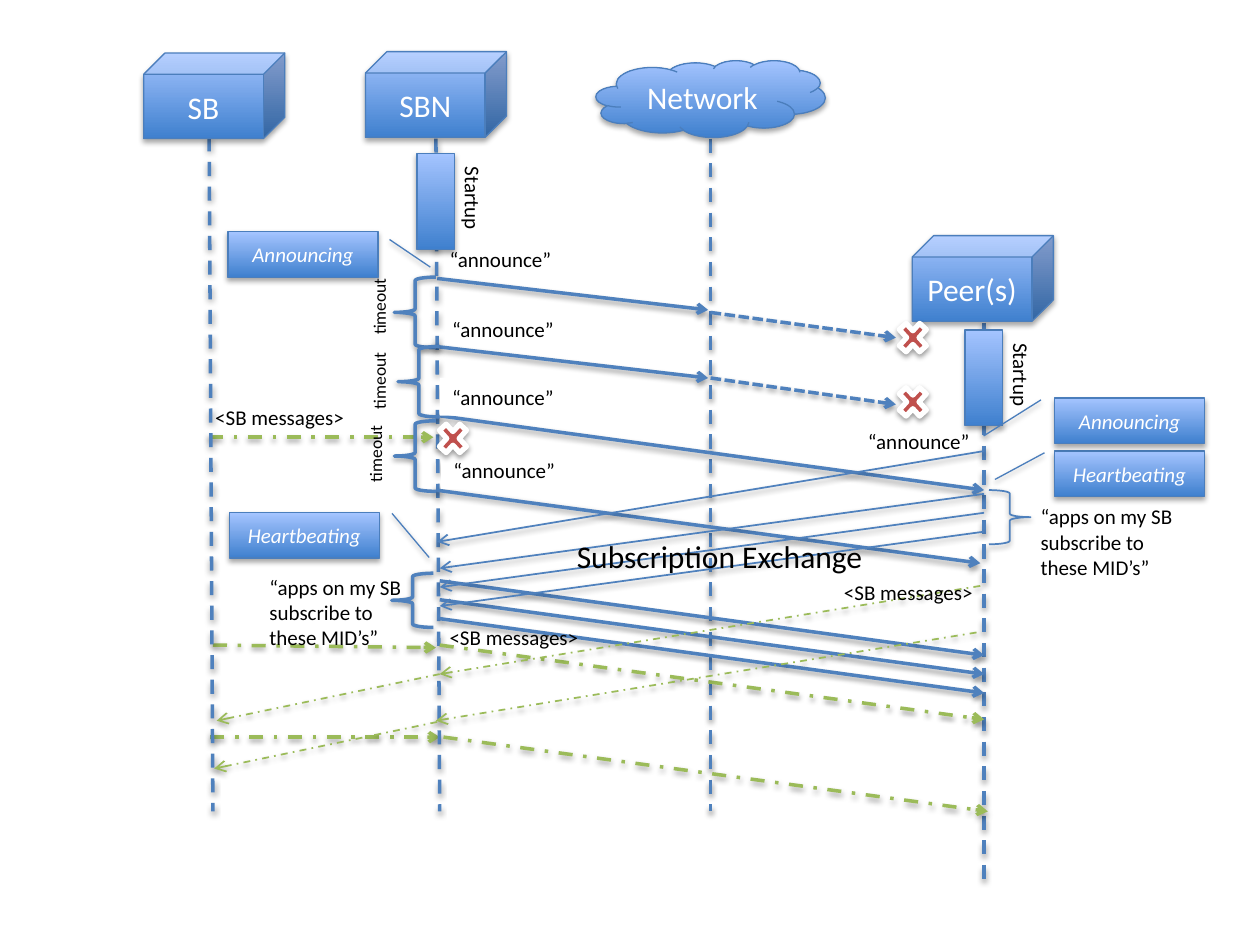
from pptx import Presentation
from pptx.dml.color import RGBColor
from pptx.enum.dml import MSO_LINE as DASH
from pptx.enum.shapes import MSO_CONNECTOR, MSO_SHAPE as SHAPE
from pptx.enum.text import MSO_ANCHOR, MSO_AUTO_SIZE, PP_ALIGN
from pptx.oxml import parse_xml
from pptx.oxml.ns import nsdecls, qn
from pptx.util import Inches, Pt

THEME = dict(font="Calibri", blue="4F81BD", edge="4B7EBC", green="9BBB59", red="C0504D",
             dark="3F80CE", light="A4C4FF", white="FFFFFF", black="000000",
             head=18, label=12, small=10, thick=2, thin=1, outline=0.75, cross=3)

# Lifeline columns
SB, SBN, NETWORK, PEER = 1.69, 3.49, 5.64, 7.81
END = 6.44
LIFELINES = [(1.66, 1.09, SB, END), (3.46, 1.1, SBN, END),
             (NETWORK, 1.1, NETWORK, END), (PEER, 2.56, PEER, 7.01)]

# Participants: text, shape, left, top, width, height
NODES = [("SB", SHAPE.CUBE, 1.14, 0.42, 1.12, 0.68),
         ("SBN", SHAPE.CUBE, 2.9, 0.41, 1.12, 0.68),
         ("Network", SHAPE.CLOUD, 4.73, 0.48, 1.82, 0.61),
         ("Peer(s)", SHAPE.CUBE, 7.24, 1.87, 1.12, 0.68)]
STARTUPS = [(3.31, 1.22), (7.66, 2.62)]

# States: text, left, top, callout line (y1, x1, y2, x2)
STATES = [("Announcing", 1.81, 1.84, (0.17, 1.077, 0.779, 1.349)),
          ("Heartbeating", 1.82, 4.07, (0.014, 1.085, 0.987, 1.333)),
          ("Heartbeating", 8.37, 3.58, (0.04, -0.068, 0.628, -0.398)),
          ("Announcing", 8.37, 3.16, (0.04, -0.091, 0.835, -0.474))]

# Messages: x1, y1, x2, y2
SB_TO_SBN = [(1.66, 3.47, 3.44, 3.47), (SB, 5.12, 3.46, 5.14), (1.67, 5.85, SBN, 5.85)]
ANNOUNCES = [(3.47, 2.21, 5.62, 2.46), (3.46, 2.75, 5.62, 3),
             (SBN, 3.3, PEER, 3.89), (3.46, 3.89, 7.78, 4.47)]
LOST = [(NETWORK, 2.48, 7.11, 2.68), (NETWORK, 3, 7.11, 3.21)]
STEPS = [0.15 * i for i in range(3)]
SUBSCRIBES = [(SBN, 4.61 + s, PEER, 5.2 + s) for s in STEPS]
PEER_REPLIES = [(PEER, 3.58, 3.47, 4.3)] + [(PEER, 3.92 + s, SBN, 4.51 + s) for s in STEPS]
SB_TO_PEER = [(SBN, 5.12, PEER, 5.71), (3.52, 5.85, 7.84, END)]
PEER_TO_SB = [(7.78, 4.65, SBN, 5.35), (7.75, 5.02, 3.46, 5.72),
              (SBN, 5.35, 1.72, 5.72), (3.47, 5.73, 1.7, 6.1)]

# Braces: left, top, height, width of line, flipped
BRACES = [(3.13, 2.2, 0.56, "thick", False), (3.16, 2.75, 0.56, "thick", False),
          (3.13, 3.34, 0.56, "thick", False), (3.11, 4.55, 0.43, "thick", False),
          (7.85, 3.89, 0.43, "thin", True)]
CROSSES = [(3.44, 3.31), (7.09, 3.02), (7.09, 2.51)]

# Labels: text, box, format
ANNOUNCE, MESSAGES = "\u201cannounce\u201d", "<SB messages>"
APPS = "\u201capps on my SB subscribe to these MID\u2019s\u201d"
LABELS = [(ANNOUNCE, (x, y, 1.02, 0.3), dict(fill=fill)) for x, y, fill in
          [(3.47, 1.91, None), (3.49, 2.46, None), (6.79, 3.35, None),
           (3.49, 3, "white"), (3.5, 3.58, "white")]]
LABELS += [(MESSAGES, (x, y, 1.24, 0.3), {}) for x, y in
           [(1.61, 3.16), (6.6, 4.55), (3.47, 4.91)]]
LABELS += [("timeout", (x, y, 0.66, 0.27), dict(size="small", turn=270)) for x, y in
           [(2.68, 2.29), (2.68, 2.88), (2.65, 3.46)]]
LABELS += [("Startup", (x + 0.09, y + 0.21, 0.71, 0.3), dict(turn=90)) for x, y in STARTUPS]
LABELS += [(APPS, (8.16, 3.95, 1.38, 0.71), dict(wrap=True)),
           (APPS, (2.04, 4.51, 1.4, 0.71), dict(wrap=True)),
           ("Subscription Exchange", (4.48, 4.21, 2.5, 0.4), dict(size="head"))]


def color(name):
    return RGBColor.from_string(THEME[name])


def style_line(part, name, width):
    part.line.color.rgb = color(name)
    part.line.width = Pt(THEME[width])


def cast_shadow(part, alpha=38, distance=1.6):
    part._element.spPr.append(parse_xml(
        f'<a:effectLst {nsdecls("a")}><a:outerShdw blurRad="{Pt(3.1)}" dist="{Pt(distance)}" '
        f'dir="5400000" rotWithShape="0"><a:srgbClr val="{THEME["black"]}">'
        f'<a:alpha val="{alpha * 1000}"/></a:srgbClr></a:outerShdw></a:effectLst>'))


def write(frame, text, size="label", ink="black", italic=False, align=PP_ALIGN.LEFT,
          anchor=MSO_ANCHOR.TOP, wrap=True):
    frame.word_wrap, frame.vertical_anchor = wrap, anchor
    paragraph = frame.paragraphs[0]
    paragraph.alignment = align
    run = paragraph.add_run()
    run.text = text
    font = run.font
    font.name, font.size, font.italic = THEME["font"], Pt(THEME[size]), italic
    font.color.rgb = color(ink)


def add_label(text, box, turn=0, fill=None, wrap=False, **look):
    label = slide.shapes.add_textbox(*map(Inches, box))
    label.rotation = turn
    if fill:
        label.fill.solid()
        label.fill.fore_color.rgb = color(fill)
    write(label.text_frame, text, wrap=wrap, **look)
    label.text_frame.auto_size = MSO_AUTO_SIZE.SHAPE_TO_FIT_TEXT


def add_block(kind, box, text="", adjust=(), **look):
    block = slide.shapes.add_shape(kind, *map(Inches, box))
    for i, value in enumerate(adjust):
        block.adjustments[i] = value
    block.fill.gradient()
    block.fill.gradient_angle = 90
    for stop, name, place in zip(block.fill.gradient_stops, ("dark", "light"), (0, 1)):
        stop.color.rgb, stop.position = color(name), place
    style_line(block, "edge", "outline")
    cast_shadow(block, 35, 1.8)
    if text:
        write(block.text_frame, text, ink="white", align=PP_ALIGN.CENTER,
              anchor=MSO_ANCHOR.MIDDLE, **look)


def add_lines(ends, ink="blue", width="thick", dash=None, arrow=True):
    for points in ends:
        line = slide.shapes.add_connector(MSO_CONNECTOR.STRAIGHT, *map(Inches, points))
        style_line(line, ink, width)
        if dash:
            line.line.dash_style = dash
        if arrow:
            line.line._get_or_add_ln().append(
                parse_xml(f'<a:tailEnd {nsdecls("a")} type="arrow"/>'))
        cast_shadow(line)


deck = Presentation()
deck.slide_width, deck.slide_height = Inches(10), Inches(7.5)
slide = deck.slides.add_slide(deck.slide_layouts[6])

# Lifelines and participants
add_lines(SB_TO_SBN, "green", dash=DASH.DASH_DOT)
add_lines(LIFELINES, dash=DASH.DASH, arrow=False)
for left, top in STARTUPS:
    add_block(SHAPE.RECTANGLE, (left, top, 0.3, 0.76))
for text, kind, *box in NODES:
    add_block(kind, box, text, size="head")

# Messages
add_lines(ANNOUNCES + SUBSCRIBES)
add_lines(LOST, dash=DASH.SQUARE_DOT)
add_lines(PEER_REPLIES, width="thin")
add_lines(SB_TO_PEER, "green", dash=DASH.DASH_DOT)
add_lines(PEER_TO_SB, "green", "thin", DASH.DASH_DOT)

# Braces, states and labels
for left, top, height, width, flipped in BRACES:
    brace = slide.shapes.add_shape(SHAPE.LEFT_BRACE, *map(Inches, (left, top, 0.33, height)))
    brace.fill.background()
    style_line(brace, "blue", width)
    cast_shadow(brace)
    if flipped:
        brace._element.spPr.find(qn("a:xfrm")).set("flipH", "1")
for text, left, top, adjust in STATES:
    add_block(SHAPE.LINE_CALLOUT_1, (left, top, 1.19, 0.36), text, adjust, italic=True)
for text, box, look in LABELS:
    add_label(text, box, **look)

# Lost messages
for left, top in CROSSES:
    cross = slide.shapes.add_shape(SHAPE.MATH_MULTIPLY, *map(Inches, (left, top, 0.31, 0.34)))
    cross.fill.solid()
    cross.fill.fore_color.rgb = color("red")
    style_line(cross, "white", "cross")
    cast_shadow(cross)

deck.save("out.pptx")
